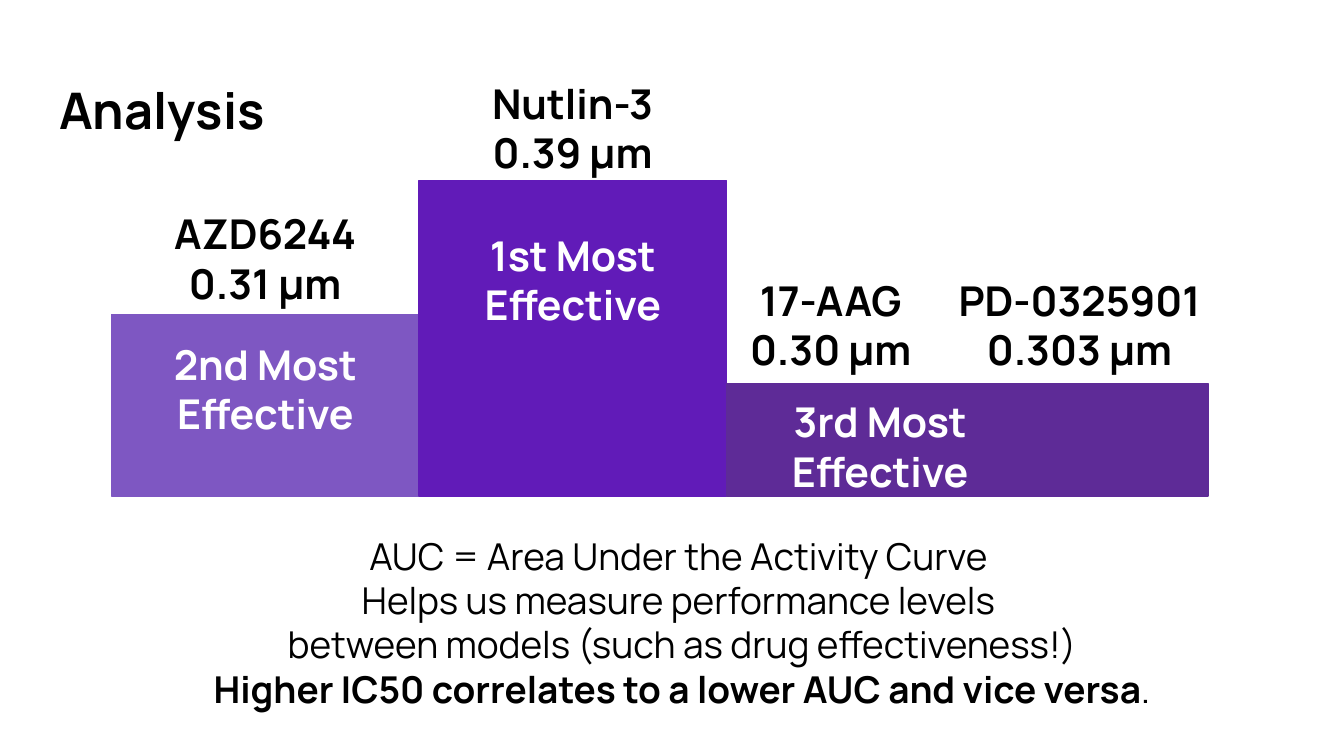
from pptx import Presentation
from pptx.dml.color import RGBColor
from pptx.enum.shapes import MSO_SHAPE
from pptx.enum.text import MSO_ANCHOR, PP_ALIGN
from pptx.util import Cm, Pt

BLACK = RGBColor(0x00, 0x00, 0x00)
WHITE = RGBColor(0xFF, 0xFF, 0xFF)
LILAC = RGBColor(0x7E, 0x57, 0xC2)
VIOLET = RGBColor(0x61, 0x1B, 0xB8)
PLUM = RGBColor(0x5E, 0x2B, 0x97)

FONT = "Manrope"
BASE = 9.38
STEP = 5.81
RANK = 5.18
TALL = 2.87


def add_text(slide, box, lines, size=22, color=BLACK, bold=True,
             align=PP_ALIGN.CENTER):
    frame = slide.shapes.add_textbox(*map(Cm, box)).text_frame
    frame.word_wrap = True
    frame.vertical_anchor = MSO_ANCHOR.TOP
    frame.margin_left = frame.margin_right = Cm(0.25)
    frame.margin_top = frame.margin_bottom = Cm(0.25)
    for i, line in enumerate(lines):
        para = frame.paragraphs[0] if i == 0 else frame.add_paragraph()
        para.alignment = align
        para.line_spacing = 1.0
        runs = [(line, bold)] if isinstance(line, str) else line
        for text, heavy in runs:
            run = para.add_run()
            run.text = text
            font = run.font
            font.name, font.size, font.bold = FONT, Pt(size), heavy
            font.color.rgb = color


def add_step(slide, box, color, rank, drop, drugs):
    left, top, width, height = box
    bar = slide.shapes.add_shape(MSO_SHAPE.RECTANGLE, *map(Cm, box))
    bar.shadow.inherit = False
    bar.fill.solid()
    bar.fill.fore_color.rgb = color
    bar.line.color.rgb = color
    bar.line.width = Pt(0.75)
    add_text(slide, (left + (STEP - RANK) / 2, top + drop, RANK, TALL),
             [f"{rank} Most Effective"], color=WHITE)
    for name, dose, mid, wide, rise in drugs:
        add_text(slide, (left + mid - wide / 2, top - rise, wide, TALL),
                 [name, dose])


def add_podium(slide, box):
    left, top, width, height = box
    base = top + height
    steps = [
        (STEP, 3.44, LILAC, "2nd", 0.23,
         [("AZD6244", "0.31 µm", 2.9, 4.88, 2.24)]),
        (STEP, height, VIOLET, "1st", 0.7,
         [("Nutlin-3", "0.39 µm", 2.9, 4.88, 2.18)]),
        (width - 2 * STEP, 2.13, PLUM, "3rd", 0,
         [("17-AAG", "0.30 µm", 1.97, 4.88, 2.29),
          ("PD-0325901", "0.303 µm", 6.67, 5.8, 2.29)]),
    ]
    for wide, high, *rest in steps:
        add_step(slide, (left, base - high, wide, high), *rest)
        left += wide


def add_notes(slide, box):
    add_text(slide, box, [
        "AUC = Area Under the Activity Curve ",
        "Helps us measure performance levels ",
        "between models (such as drug effectiveness!)",
        [("Higher IC50 correlates to a lower AUC and vice versa", True),
         (".", False)],
    ], size=19.8, bold=False)


def main():
    deck = Presentation()
    deck.slide_width, deck.slide_height = Cm(25.4), Cm(14.29)
    slide = deck.slides.add_slide(deck.slide_layouts[6])
    add_text(slide, (0.87, 1.25, 23.67, 1.73), ["Analysis"], size=27,
             align=PP_ALIGN.LEFT)
    add_podium(slide, (2.11, BASE - 5.97, 20.72, 5.97))
    add_notes(slide, (0.38, 9.83, 25.02, 3.78))
    deck.save("out.pptx")


if __name__ == "__main__":
    main()
